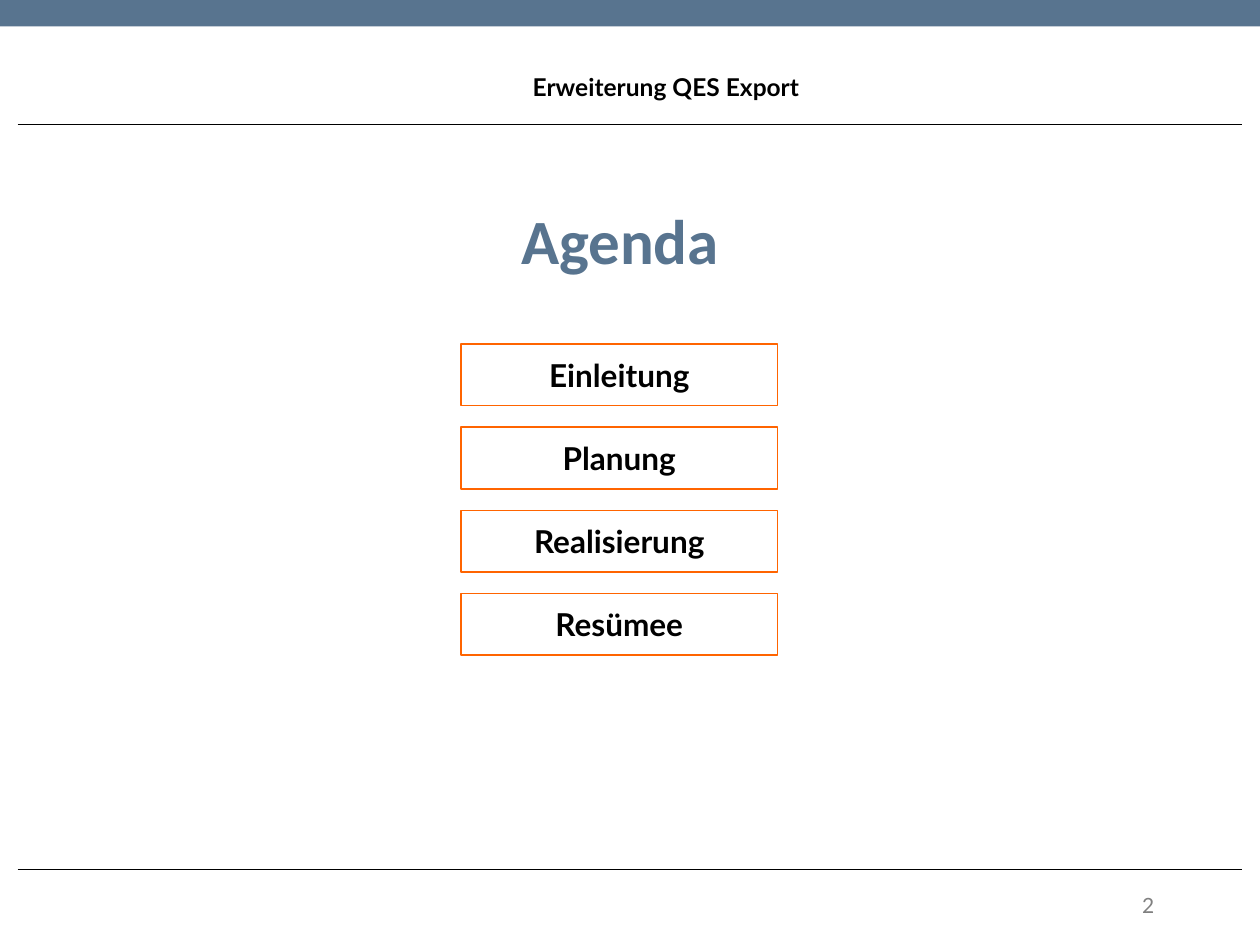
"""Build the agenda slide with its header, four topic boxes and footer."""
from lxml import etree
from pptx import Presentation
from pptx import util as u
from pptx.dml.color import RGBColor
from pptx.enum import shapes, text
from pptx.oxml.ns import qn


def color(value):
    return RGBColor.from_string(value)


def write(sp, content, size, name, rgb, align, bold=True):
    tf = sp.text_frame
    tf.word_wrap = True
    tf.vertical_anchor = text.MSO_ANCHOR.MIDDLE
    p = tf.paragraphs[0]
    p.alignment = align
    r = p.add_run()
    r.text = content
    for key, value in {"size": u.Pt(size), "name": name, "bold": bold}.items():
        setattr(r.font, key, value)
    r.font.color.rgb = color(rgb)


prs = Presentation()
prs.slide_width, prs.slide_height = u.Inches(10), u.Inches(7.5)
s = prs.slides.add_slide(prs.slide_layouts[5])
left, center, right = text.PP_ALIGN.LEFT, text.PP_ALIGN.CENTER, text.PP_ALIGN.RIGHT

band = s.shapes.add_shape(shapes.MSO_SHAPE.RECTANGLE, 0, 0, prs.slide_width, u.Inches(0.21))
band.shadow.inherit = False
band.fill.solid()
band.fill.fore_color.rgb = color("58748F")
band.line.fill.background()

title = s.shapes.title
frame = {"left": 0.67, "top": 1.62, "width": 8.5, "height": 0.56}
for key, value in frame.items():
    setattr(title, key, u.Inches(value))
write(title, "Agenda", 36, "Calibri", "58748F", center)

for i, topic in enumerate(["Einleitung", "Planung", "Realisierung", "Resümee"]):
    sp = s.shapes.add_shape(
        shapes.MSO_SHAPE.RECTANGLE,
        u.Inches(3.66), u.Inches(2.73 + 0.66 * i), u.Inches(2.51), u.Inches(0.49))
    sp.shadow.inherit = False
    sp.fill.solid()
    sp.fill.fore_color.rgb = color("FFFFFF")
    sp.line.color.rgb = color("FF6400")
    sp.line.width = u.Pt(0.85)
    write(sp, topic, 18, "Lato", "000000", center)

for y in (0.99, 6.9):
    rule = s.shapes.add_connector(
        shapes.MSO_CONNECTOR.STRAIGHT,
        u.Inches(0.14), u.Inches(y), u.Inches(9.86), u.Inches(y))
    rule.line.color.rgb = color("000000")
    rule.line.width = u.Pt(0.75)
    etree.SubElement(rule._element.spPr, qn("a:effectLst"))

header = s.shapes.add_textbox(u.Inches(4.13), u.Inches(0.38), u.Inches(5.8), u.Inches(0.61))
write(header, "Erweiterung QES Export", 14, "Lato", "000000", left)

number = s.shapes.add_textbox(u.Inches(7.13), u.Inches(6.98), u.Inches(2.13), u.Inches(0.4))
write(number, "2", 12, "Lato", "808080", right, bold=False)

prs.save("out.pptx")
